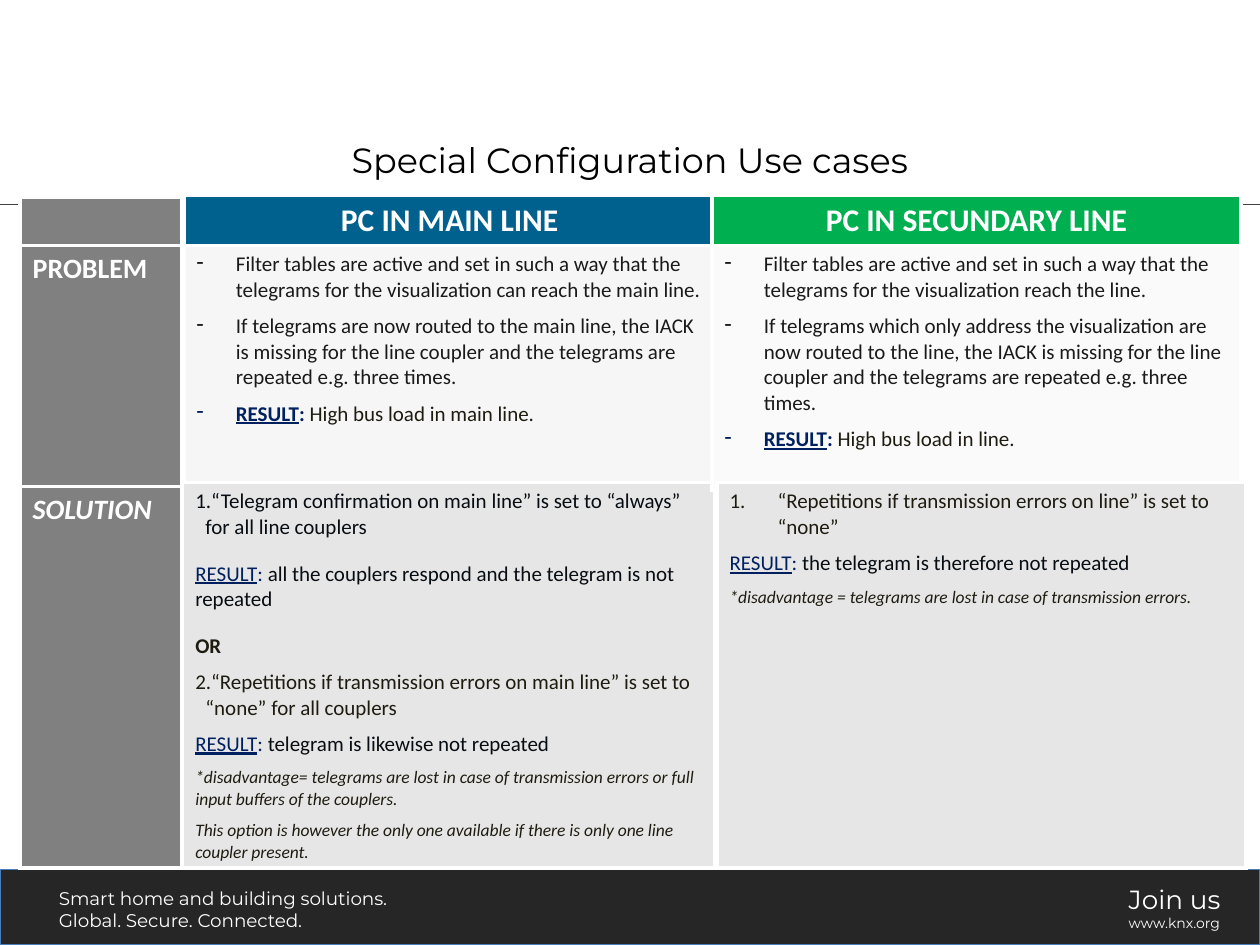
from lxml import etree
from pptx import Presentation
from pptx import util as u
from pptx.dml import color
from pptx.enum import shapes, text
from pptx.oxml import ns

Pt = u.Pt
BODY, HEAD = "Calibri", "Montserrat"
WHITE, GREY, NAVY, INK, BROWN, DARK = "FFFFFF", "808080", "002060", "070D13", "1E1C11", "1A1A1A"


def rgb(value):
    return color.RGBColor.from_string(value)


def add_xml(parent, tag, **attributes):
    return etree.SubElement(parent, ns.qn(tag), attributes)


def set_font(font, name=None, size=None, ink=None, **flags):
    if name:
        font.name = name
    if size:
        font.size = Pt(size)
    if ink:
        font.color.rgb = rgb(ink)
    for flag, value in flags.items():
        setattr(font, flag, value)


def line(words, size=12, ink=BROWN, **layout):
    """Describe a paragraph of one span; layout holds spacing, bullet and font flags."""
    return dict(spans=[(words, {})], size=size, ink=ink, **layout)


def result(words, ink=INK, bold=False, **layout):
    """Describe a paragraph that opens with an underlined RESULT."""
    spans = [("RESULT", dict(ink=NAVY, underline=True, bold=bold)),
             (": ", dict(ink=NAVY, bold=bold)), (words, {})]
    return dict(spans=spans, size=12, ink=ink, **layout)


def note(words):
    return line(words, 10, italic=True, after=6)


def add_bullet(para, bullet, start, margin, indent):
    props = para._p.get_or_add_pPr()
    props.set("marL", str(Pt(margin)))
    props.set("indent", str(Pt(indent)))
    if bullet == "-":
        add_xml(props, "a:buChar", char="-")
    else:
        add_xml(props, "a:buAutoNum", type="arabicPeriod", startAt=str(start))


def write(frame, paragraphs, font=BODY):
    for index, item in enumerate(paragraphs):
        item = dict(item)
        spans = item.pop("spans")
        para = frame.add_paragraph() if index else frame.paragraphs[0]
        para.alignment = item.pop("align", text.PP_ALIGN.LEFT)
        para.space_before = Pt(item.pop("before", 0))
        para.space_after = Pt(item.pop("after", 0))
        if "bullet" in item:
            add_bullet(para, item.pop("bullet"), item.pop("start", 1),
                       item.pop("margin"), item.pop("indent"))
        set_font(para.font, font, **item)
        for words, style in spans:
            span = para.add_run()
            span.text = words
            set_font(span.font, **{"name": font, **item, **style})


def fill_cell(cell, fill, paragraphs):
    props = cell._tc.get_or_add_tcPr()
    for side in "LRTB":
        border = add_xml(props, f"a:ln{side}", w=str(Pt(2.25)))
        add_xml(add_xml(border, "a:solidFill"), "a:srgbClr", val=WHITE)
    cell.fill.solid()
    cell.fill.fore_color.rgb = rgb(fill)
    if paragraphs:
        write(cell.text_frame, paragraphs)
    else:
        cell.margin_top = cell.margin_bottom = 0


def add_column(page, left, top, width, rows):
    """Add a table of one column; each row is (height, fill, paragraphs)."""
    height = sum(row[0] for row in rows)
    table = page.shapes.add_table(len(rows), 1, Pt(left), Pt(top), Pt(width), Pt(height)).table
    table.first_row = table.horz_banding = False
    for index, (row_height, fill, paragraphs) in enumerate(rows):
        table.rows[index].height = Pt(row_height)
        fill_cell(table.cell(index, 0), fill, paragraphs)


def add_problem(page, left, top, width, heading, heading_fill, fill, heights, points, load):
    dash = dict(bullet="-", margin=22.5, indent=-22.5, after=6)
    header = line(heading, 18, WHITE, bold=True, align=text.PP_ALIGN.CENTER)
    body = [line(point, ink=DARK, **dash) for point in points]
    body.append(result(load, BROWN, bold=True, **dash))
    add_column(page, left, top, width,
               [(heights[0], heading_fill, [header]), (heights[1], fill, body)])


def add_caption(page, left, top, width, height, lines):
    box = page.shapes.add_textbox(Pt(left), Pt(top), Pt(width), Pt(height))
    box.text_frame.word_wrap = False
    write(box.text_frame, [line(words, size, WHITE) for words, size in lines], HEAD)


def add_footer(page, left, top, width, height):
    band = page.shapes.add_shape(shapes.MSO_SHAPE.RECTANGLE, Pt(left), Pt(top), Pt(width), Pt(height))
    band.shadow.inherit = False
    band.fill.solid()
    band.fill.fore_color.rgb = rgb("262626")
    band.line.color.rgb = rgb("4A7EBB")
    band.line.width = Pt(0.75)
    add_caption(page, left + 26.6, top + 6.5, 211, 32.4,
                [("Smart home and building solutions.", 10.5), ("Global. Secure. Connected.", 10.5)])
    add_caption(page, left + width - 82.1, top + 4.5, 67.7, 36.7,
                [("Join us", 15), ("www.knx.org", 8)])


def add_rule(page, left, top, width):
    rule = page.shapes.add_connector(shapes.MSO_CONNECTOR.STRAIGHT,
                                     Pt(left), Pt(top), Pt(left + width), Pt(top))
    rule.line.color.rgb = rgb("404040")
    rule.line.width = Pt(0.5)
    add_xml(rule._element.spPr, "a:effectLst")


def set_title(page, left, top, width, height, words):
    title = page.shapes.title
    title.left, title.top, title.width, title.height = map(Pt, (left, top, width, height))
    title.text_frame.vertical_anchor = text.MSO_ANCHOR.MIDDLE
    write(title.text_frame, [line(words, 20, "000000", align=text.PP_ALIGN.CENTER)], HEAD)


def add_comparison(page, left, top):
    """Place the label column and, beside it, the two cases over their solutions."""
    label = dict(size=16, ink=WHITE, bold=True)
    add_column(page, left, top + 1.4, 92.2, [
        (27.4, GREY, []),
        (137.5, GREY, [line("PROBLEM", **label)]),
        (218.2, GREY, [line("SOLUTION", italic=True, **label)])])
    add_problem(page, left + 93.6, top, 303.8, "PC IN MAIN LINE", "00618E", "F6F6F6", (26.6, 136.1), [
        "Filter tables are active and set in such a way that the telegrams for the "
        "visualization can reach the main line.",
        "If telegrams are now routed to the main line, the IACK is missing for the line "
        "coupler and the telegrams are repeated e.g. three times."],
        "High bus load in main line.")
    number = dict(bullet="1.", margin=5.8, indent=-27.4, after=6)
    solution_top, solution_height = top + 164.2, 220.3
    add_column(page, left + 92.9, solution_top, 303.8, [(solution_height, "E6E6E6", [
        line("“Telegram confirmation on main line” is set to “always” for all line couplers",
             ink=INK, **number),
        result("all the couplers respond and the telegram is not repeated", before=6, after=6),
        line("OR", bold=True, before=6, after=6),
        line("“Repetitions if transmission errors on main line” is set to “none” for all couplers",
             start=2, **number),
        result("telegram is likewise not repeated", after=6),
        note("*disadvantage= telegrams are lost in case of transmission errors or full input "
             "buffers of the couplers."),
        note("This option is however the only one available if there is only one line "
             "coupler present.")])])
    add_problem(page, left + 395.3, top, 302.4, "PC IN SECUNDARY LINE", "00B050", "FAFAFA", (25.2, 139.7), [
        "Filter tables are active and set in such a way that the telegrams for the "
        "visualization reach the line.",
        "If telegrams which only address the visualization are now routed to the line, the "
        "IACK is missing for the line coupler and the telegrams are repeated e.g. three times."],
        "High bus load in line.")
    add_column(page, left + 398.2, solution_top, 302.4, [(solution_height, "E6E6E6", [
        line("“Repetitions if transmission errors on line” is set to “none”",
             **{**number, "margin": 27.4}),
        result("the telegram is therefore not repeated", after=6),
        note("*disadvantage = telegrams are lost in case of transmission errors.")])])


def main():
    deck = Presentation()
    deck.slide_width, deck.slide_height = Pt(720), Pt(540)
    page = deck.slides.add_slide(deck.slide_layouts[5])
    add_footer(page, 0, 496.8, 720, 43.2)
    add_rule(page, 0, 116.6, 720)
    set_title(page, 2.9, 71.3, 714.2, 39.6, "Special Configuration Use cases")
    add_comparison(page, 11.5, 111.6)
    deck.save("out.pptx")


if __name__ == "__main__":
    main()
